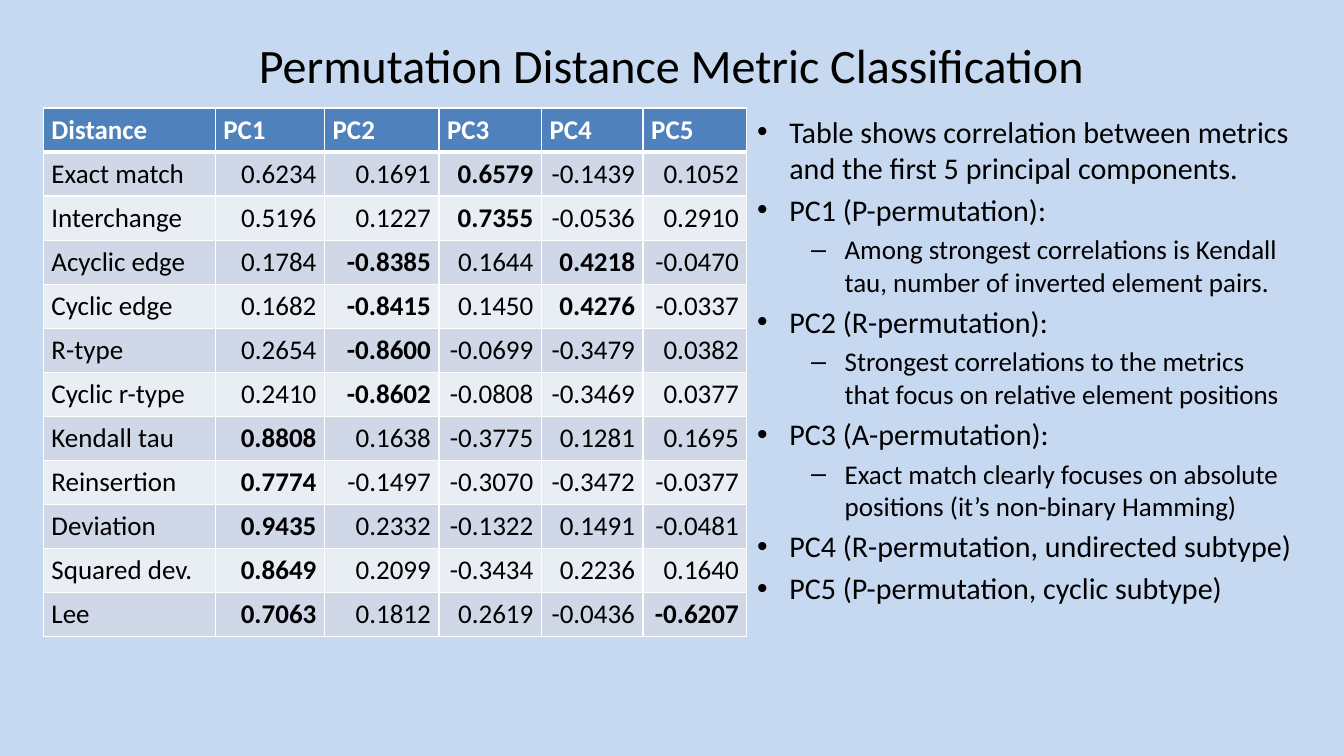
from lxml import etree
from pptx import Presentation
from pptx import util as u
from pptx.dml import color
from pptx.enum import text
from pptx.oxml import ns

BLACK = color.RGBColor(0x00, 0x00, 0x00)
WHITE = color.RGBColor(0xFF, 0xFF, 0xFF)
BACKGROUND = color.RGBColor(0xC6, 0xD9, 0xF1)
HEADER_FILL = color.RGBColor(0x4F, 0x81, 0xBD)
BAND_FILLS = (color.RGBColor(0xD0, 0xD8, 0xE8), color.RGBColor(0xE9, 0xED, 0xF4))

TITLE = "Permutation Distance Metric Classification"
HEADERS = ["Distance", "PC1", "PC2", "PC3", "PC4", "PC5"]
COLUMN_WIDTHS = [4.04, 2.57, 2.69, 2.41, 2.39, 2.44]
ROW_HEIGHT = 1.03
BOLD_LIMITS = [0.7, 0.4, 0.4, 0.4, 0.4]
CORRELATIONS = [
    ("Exact match", 0.6234, 0.1691, 0.6579, -0.1439, 0.1052),
    ("Interchange", 0.5196, 0.1227, 0.7355, -0.0536, 0.2910),
    ("Acyclic edge", 0.1784, -0.8385, 0.1644, 0.4218, -0.0470),
    ("Cyclic edge", 0.1682, -0.8415, 0.1450, 0.4276, -0.0337),
    ("R-type", 0.2654, -0.8600, -0.0699, -0.3479, 0.0382),
    ("Cyclic r-type", 0.2410, -0.8602, -0.0808, -0.3469, 0.0377),
    ("Kendall tau", 0.8808, 0.1638, -0.3775, 0.1281, 0.1695),
    ("Reinsertion", 0.7774, -0.1497, -0.3070, -0.3472, -0.0377),
    ("Deviation", 0.9435, 0.2332, -0.1322, 0.1491, -0.0481),
    ("Squared dev.", 0.8649, 0.2099, -0.3434, 0.2236, 0.1640),
    ("Lee", 0.7063, 0.1812, 0.2619, -0.0436, -0.6207),
]
NOTES = [
    (0, "Table shows correlation between metrics and the first 5 principal components."),
    (0, "PC1 (P-permutation):"),
    (1, "Among strongest correlations is Kendall tau, number of inverted element pairs."),
    (0, "PC2 (R-permutation):"),
    (1, "Strongest correlations to the metrics that focus on relative element positions"),
    (0, "PC3 (A-permutation):"),
    (1, "Exact match clearly focuses on absolute positions (it’s non-binary Hamming)"),
    (0, "PC4 (R-permutation, undirected subtype)"),
    (0, "PC5 (P-permutation, cyclic subtype)"),
]
BULLET_LEVELS = [
    {"size": 20, "mark": "•", "left": 0.76, "hanging": 0.76},
    {"size": 18, "mark": "–", "left": 2.06, "hanging": 0.79},
]


def set_values(target, values):
    for name, value in values.items():
        setattr(target, name, value)


def place(shape, left, top, width, height):
    set_values(shape, {"left": u.Cm(left), "top": u.Cm(top),
                       "width": u.Cm(width), "height": u.Cm(height)})


def write(paragraph, words, size, ink=BLACK, bold=False, align=text.PP_ALIGN.LEFT):
    run = paragraph.add_run()
    run.text = words
    paragraph.alignment = align
    set_values(run.font, {"name": "Calibri", "size": u.Pt(size), "bold": bold})
    run.font.color.rgb = ink


def add_title(slide):
    title = slide.shapes.title
    place(title, 1.57, 0.71, 28.45, 2.97)
    set_values(title.text_frame, {"word_wrap": True,
                                  "auto_size": text.MSO_AUTO_SIZE.NONE,
                                  "vertical_anchor": text.MSO_ANCHOR.TOP})
    write(title.text_frame.paragraphs[0], TITLE, 32, align=text.PP_ALIGN.CENTER)


def add_borders(cell, top, bottom):
    properties = cell._tc.get_or_add_tcPr()
    widths = {"lnL": 1, "lnR": 1, "lnT": top, "lnB": bottom}
    for position, (side, points) in enumerate(widths.items()):
        line = etree.Element(ns.qn("a:" + side), w=str(u.Pt(points)))
        fill = etree.SubElement(line, ns.qn("a:solidFill"))
        etree.SubElement(fill, ns.qn("a:srgbClr"), val=str(WHITE))
        properties.insert(position, line)


def fill_cell(cell, row, words, **style):
    margins = {"margin_left": u.Cm(0.19), "margin_right": u.Cm(0.19),
               "margin_top": u.Cm(0.13), "margin_bottom": u.Cm(0.13)}
    set_values(cell, margins)
    cell.fill.solid()
    cell.fill.fore_color.rgb = BAND_FILLS[(row - 1) % 2] if row else HEADER_FILL
    add_borders(cell, 3 if row == 1 else 1, 1 if row else 3)
    write(cell.text_frame.paragraphs[0], words, 18, **style)


def add_correlation_table(slide):
    row_count = len(CORRELATIONS) + 1
    table = slide.shapes.add_table(
        row_count, len(HEADERS), u.Cm(1.02), u.Cm(2.54),
        u.Cm(sum(COLUMN_WIDTHS)), u.Cm(ROW_HEIGHT * row_count)).table
    for column, width in zip(table.columns, COLUMN_WIDTHS):
        column.width = u.Cm(width)
    for row in table.rows:
        row.height = u.Cm(ROW_HEIGHT)
    for column, header in enumerate(HEADERS):
        fill_cell(table.cell(0, column), 0, header, ink=WHITE, bold=True)
    for row, (metric, *values) in enumerate(CORRELATIONS, 1):
        fill_cell(table.cell(row, 0), row, metric)
        for column, (value, limit) in enumerate(zip(values, BOLD_LIMITS), 1):
            fill_cell(table.cell(row, column), row, f"{value:.4f}",
                      bold=abs(value) > limit, align=text.PP_ALIGN.RIGHT)


def add_bullet(paragraph, level, words):
    style = BULLET_LEVELS[level]
    write(paragraph, words, style["size"])
    set_values(paragraph, {"level": level, "space_before": u.Pt(style["size"] * 0.2)})
    properties = paragraph._p.get_or_add_pPr()
    properties.set("marL", str(u.Cm(style["left"])))
    properties.set("indent", str(-u.Cm(style["hanging"])))
    etree.SubElement(properties, ns.qn("a:buFont"), typeface="Arial")
    etree.SubElement(properties, ns.qn("a:buChar"), char=style["mark"])


def add_notes(slide):
    box = slide.shapes.add_textbox(u.Cm(17.55), u.Cm(2.54), u.Cm(13.11), u.Cm(12.37))
    frame = box.text_frame
    frame.word_wrap = True
    for index, (level, words) in enumerate(NOTES):
        paragraph = frame.add_paragraph() if index else frame.paragraphs[0]
        add_bullet(paragraph, level, words)


def main():
    presentation = Presentation()
    set_values(presentation, {"slide_width": u.Cm(31.6), "slide_height": u.Cm(17.78)})
    slide = presentation.slides.add_slide(presentation.slide_layouts[5])
    slide.background.fill.solid()
    slide.background.fill.fore_color.rgb = BACKGROUND
    add_title(slide)
    add_correlation_table(slide)
    add_notes(slide)
    presentation.save("out.pptx")


main()
